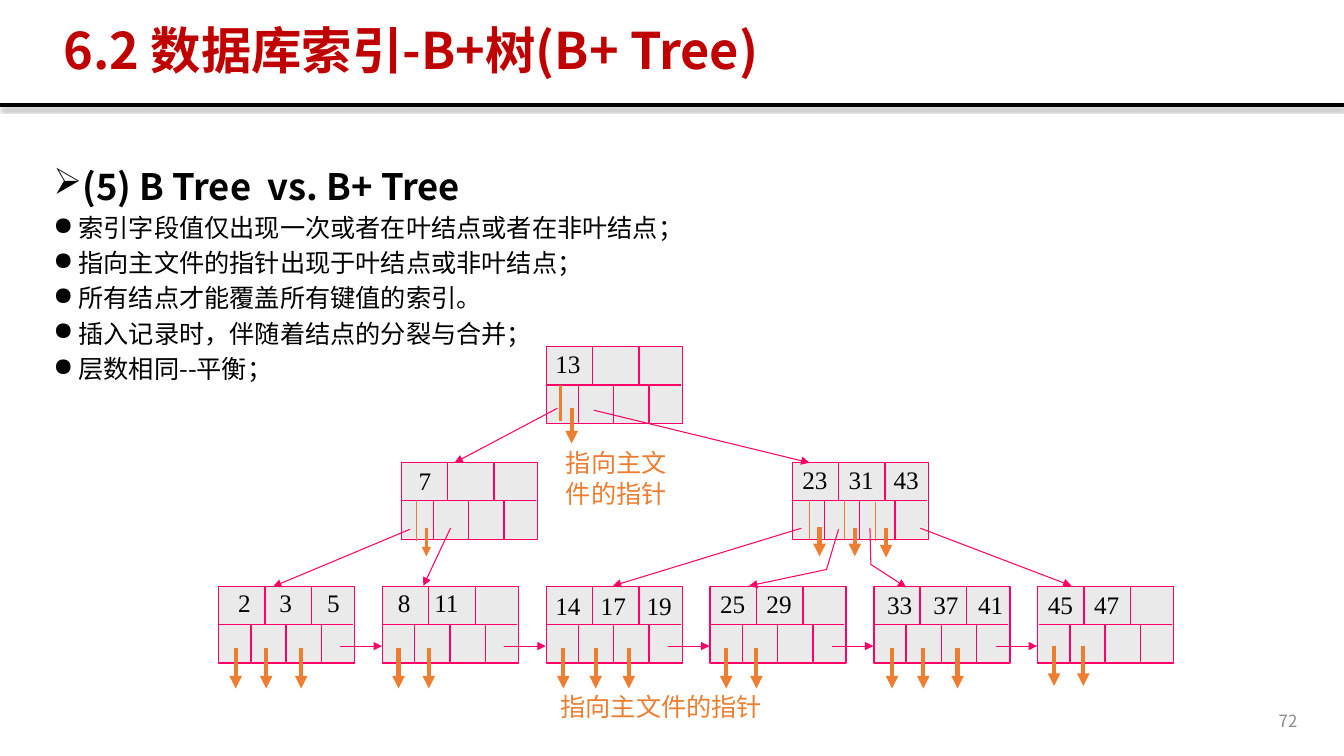
from dataclasses import dataclass
from lxml.etree import SubElement
from pptx import Presentation
from pptx.dml.color import RGBColor
from pptx.enum.shapes import MSO_CONNECTOR, MSO_SHAPE
from pptx.enum.text import MSO_ANCHOR, PP_ALIGN
from pptx.oxml.ns import qn
from pptx.util import Pt


@dataclass(frozen=True)
class Theme:
    black: str = "000000"
    red: str = "C00000"
    pink: str = "FF0066"
    orange: str = "ED7D31"
    pale: str = "EAEAEA"
    grey: str = "8C8C8C"
    sans: str = "Noto Sans CJK SC"
    serif: str = "Times New Roman"
    title: int = 36
    head: int = 26
    text: int = 18
    page: int = 12


theme = Theme()
deck = Presentation()
deck.slide_width, deck.slide_height = Pt(960), Pt(540)
slide = deck.slides.add_slide(deck.slide_layouts[6])
shapes = slide.shapes


def write(text, box=None, frame=None, size=theme.text, color=theme.black, font=theme.sans,
          bold=False, align=PP_ALIGN.LEFT, anchor=MSO_ANCHOR.TOP, lead=None, gap=None, bullet=None):
    if frame is None:
        frame = shapes.add_textbox(*map(Pt, box)).text_frame
        frame.word_wrap = True
        frame.vertical_anchor = anchor
        para = frame.paragraphs[0]
    else:
        para = frame.add_paragraph()
    if bullet:
        props = para._p.get_or_add_pPr()
        props.set("marL", str(Pt(18)))
        props.set("indent", str(-Pt(18)))
        SubElement(props, qn("a:buChar")).set("char", bullet)
    para.alignment = align
    para.line_spacing = lead
    para.space_before = gap
    run = para.add_run()
    run.text = text
    run.font.size = Pt(size)
    run.font.bold = bold
    run.font.name = font
    run.font.color.rgb = RGBColor.from_string(color)
    SubElement(run._r.get_or_add_rPr(), qn("a:ea")).set("typeface", theme.sans)
    return frame


def link(points, color=theme.pink, width=0.75, arrow=True):
    points = [(Pt(x), Pt(y)) for x, y in points]
    if len(points) == 2:
        line = shapes.add_connector(MSO_CONNECTOR.STRAIGHT, *points[0], *points[1])
    else:
        path = shapes.build_freeform(*points[0])
        path.add_line_segments(points[1:], close=False)
        line = path.convert_to_shape()
        line.fill.background()
    line.line.color.rgb = RGBColor.from_string(color)
    line.line.width = Pt(width)
    if arrow:
        SubElement(line.line._get_or_add_ln(), qn("a:tailEnd")).set("type", "triangle")
    return SubElement(line._element.spPr, qn("a:effectLst"))


effect = link([(0, 75), (960, 75)], theme.black, 3, False)
shade = SubElement(effect, qn("a:outerShdw"), blurRad=str(Pt(3.1)), dist=str(Pt(1.8)),
                   dir="5400000", algn="t", rotWithShape="0")
tint = SubElement(shade, qn("a:srgbClr"), val=theme.black)
SubElement(tint, qn("a:alpha"), val="35000")

body = write("(5) B Tree  vs. B+ Tree", box=(31, 95.8, 903, 399), size=theme.head, bold=True,
             align=PP_ALIGN.JUSTIFY, lead=Pt(49), bullet="➢")
for point in (
    "索引字段值仅出现一次或者在叶结点或者在非叶结点；",
    "指向主文件的指针出现于叶结点或非叶结点；",
    "所有结点才能覆盖所有键值的索引。",
    "插入记录时，伴随着结点的分裂与合并；",
    "层数相同--平衡；",
):
    write(point, frame=body, lead=Pt(21.5), gap=Pt(3.6), bullet="●")
write("6.2 数据库索引-B+树(B+ Tree)", box=(38.2, 14.4, 842.4, 46.8), size=theme.title,
      color=theme.red, bold=True, anchor=MSO_ANCHOR.MIDDLE, lead=0.9)

wide, high, mid = 97.2, 54.7, 27.2
first, step, base = 156.2, 117, 419
nodes = [
    (390.2, 247.7, -2.2, {"13": 15.5}),
    (286.6, 330.5, -1.5, {"7": 17}),
    (565.9, 330.5, -2.2, {"23": 16.2, "31": 49.3, "43": 81.4}),
]
leaves = [
    (-2.9, {"2": 18.4, "3": 47.9, "5": 82}),
    (-2.9, {"8": 15.5, "11": 45.7}),
    (-0.7, {"14": 15.5, "17": 47.9, "19": 80.6}),
    (-2.2, {"25": 16.2, "29": 49.3}),
    (-1.5, {"33": 18.4, "37": 51.5, "41": 83.5}),
    (-1.5, {"45": 16.2, "47": 49.3}),
]
nodes += [(first + step * i, base, drop, keys) for i, (drop, keys) in enumerate(leaves)]

for left, top, drop, keys in nodes:
    cell = shapes.add_shape(MSO_SHAPE.RECTANGLE, Pt(left), Pt(top), Pt(wide), Pt(high))
    cell.shadow.inherit = False
    cell.fill.solid()
    cell.fill.fore_color.rgb = RGBColor.from_string(theme.pale)
    cell.line.color.rgb = RGBColor.from_string(theme.pink)
    cell.line.width = Pt(1)
    rules = [((0.6, mid), (96, mid))]
    rules += [((x, 0), (x, mid)) for x in (33, 66.3)]
    rules += [((23 + 25.2 * i, mid), (23 + 25.2 * i, high)) for i in range(3)]
    for rule in rules:
        link([(left + x, top + y) for x, y in rule], width=1, arrow=False)
    for key, x in keys.items():
        write(key, box=(left + x - 21.2, top + drop, 42.4, 28.8), font=theme.serif,
              align=PP_ALIGN.CENTER)

drops = [(12.2, 34, 59), (11.5, 33.1), (12.2, 35.3, 59), (11.5, 33.1), (13, 35.3, 59.8), (11.7, 32.6)]
for i, row in enumerate(drops):
    left = first + step * i
    for x in row:
        y = 463 if i < 5 else 461.2
        link([(left + x, y), (left + x, y + 28.8)], theme.orange, 3)
    if i < 5:
        link([(left + 87, 461.5), (left + 116.6, 461.5)])

for x, top, end, width in (
    (400.3, 275, 301, 2.25), (297.4, 357.1, 386.6, 0.75), (578.2, 357.1, 385.2, 0.75),
    (603.4, 357.1, 385.2, 0.75), (625.7, 358.6, 386.6, 0.75),
):
    link([(x, top), (x, end)], theme.orange, width, False)
for x, top, end, width in (
    (408.4, 291.6, 316.8, 3), (304.6, 377.3, 397.4, 2.25), (585.4, 376.8, 397.4, 3),
    (610.6, 377.3, 397.4, 3), (632.9, 377.3, 398.2, 3),
):
    link([(x, top), (x, end)], theme.orange, width)

for route in (
    [(398.2, 291.6), (324.7, 330.5)],
    [(424.1, 293), (578.2, 330.5)],
    [(657.4, 377.3), (765.4, 418.5)],
    [(621.4, 377.3), (622.1, 403.2), (647.3, 419.5)],
    [(599, 378), (590.4, 406.8), (535, 418.5)],
    [(572.4, 377.3), (437.8, 418.5)],
    [(321.8, 377.3), (302.4, 418.5)],
    [(293, 378), (195.1, 419)],
):
    link(route)

for box in ((385.2, 490.6, 174.2, 31), (391, 316.4, 98.6, 55.4)):
    write("指向主文件的指针", box=box, color=theme.orange, font=theme.serif,
          align=PP_ALIGN.CENTER, lead=Pt(21.5))
write("72", box=(717.8, 500.4, 216, 28.8), size=theme.page, color=theme.grey,
      align=PP_ALIGN.RIGHT, anchor=MSO_ANCHOR.MIDDLE)

deck.save("out.pptx")
